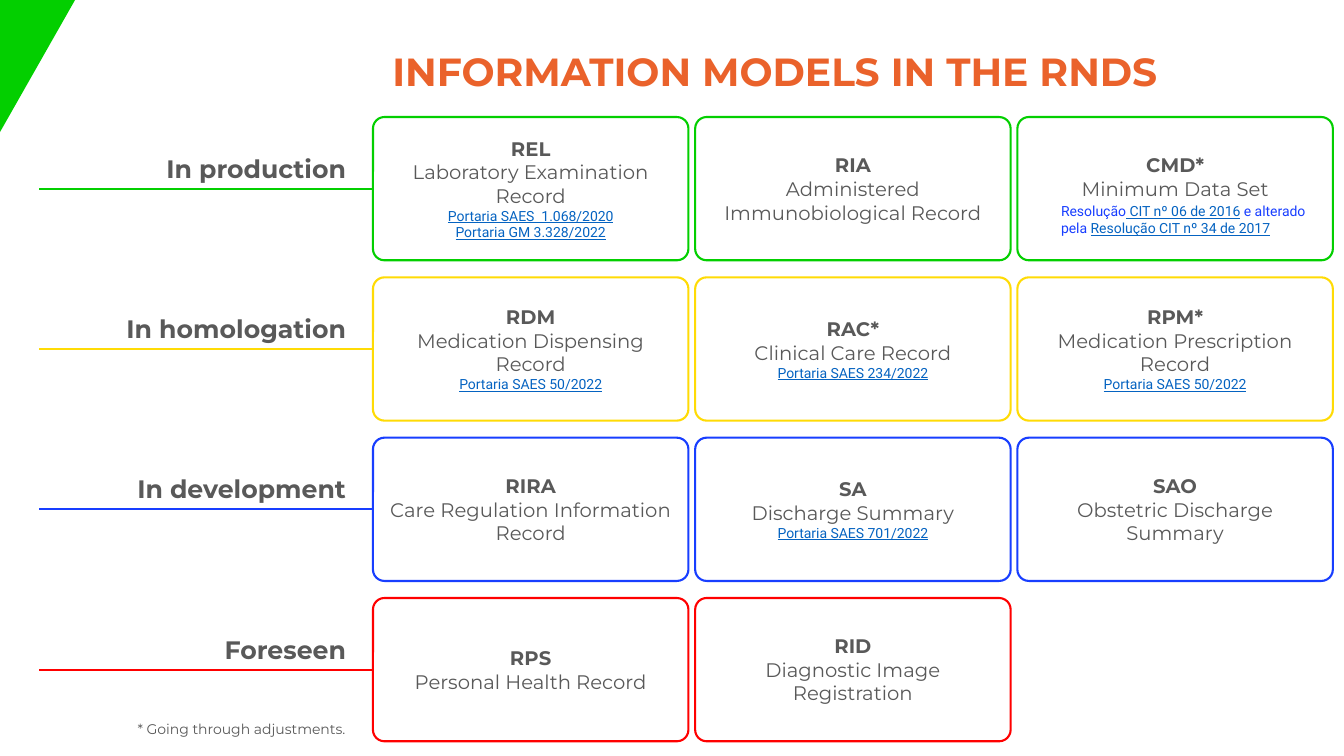
from pptx import Presentation, util as u
from pptx.dml import color
from pptx.enum import shapes, text
from pptx.oxml import ns
from lxml import etree

THEME = {
    "colours": {"green": "03CF00", "yellow": "FFDB05", "blue": "183EFF", "red": "FF0000",
                "orange": "EA622B", "grey": "595959", "link": "0563C1"},
    "line": u.Pt(1.5),
    "text": {
        "title": ("orange", {"name": "Montserrat", "size": u.Pt(28), "bold": True}),
        "status": ("grey", {"name": "Montserrat", "size": u.Pt(18), "bold": True}),
        "code": ("grey", {"name": "Montserrat", "size": u.Pt(14), "bold": True}),
        "model": ("grey", {"name": "Montserrat", "size": u.Pt(14), "bold": False}),
        "note": ("grey", {"name": "Montserrat", "size": u.Pt(10)}),
        "link": ("link", {"name": "Roboto", "size": u.Pt(10), "underline": True}),
        "plain": ("blue", {"name": "Roboto", "size": u.Pt(10)}),
    },
}
RIGHT, CENTER, LEFT = text.PP_ALIGN.RIGHT, text.PP_ALIGN.CENTER, text.PP_ALIGN.LEFT
MIDDLE, TOP = text.MSO_ANCHOR.MIDDLE, text.MSO_ANCHOR.TOP


def rgb(name):
    return color.RGBColor.from_string(THEME["colours"][name])


def write(shape, paragraphs, alignment, anchor=TOP):
    """Fill a shape with paragraphs, each a list of (style, wording) runs."""
    frame = shape.text_frame
    frame.word_wrap = True
    frame.vertical_anchor = anchor
    for index, runs in enumerate(paragraphs):
        paragraph = frame.add_paragraph() if index else frame.paragraphs[0]
        paragraph.alignment = alignment
        for style, wording in runs:
            run = paragraph.add_run()
            run.text = wording
            colour, formats = THEME["text"][style]
            for attribute, value in formats.items():
                setattr(run.font, attribute, value)
            run.font.color.rgb = rgb(colour)


presentation = Presentation()
presentation.slide_width, presentation.slide_height = u.Cm(33.87), u.Cm(19.05)
slide = presentation.slides.add_slide(presentation.slide_layouts[6])

# Corner triangle, right angle at the top left
corner = slide.shapes.add_shape(shapes.MSO_SHAPE.RIGHT_TRIANGLE,
                                u.Cm(-0.13), u.Cm(-0.91), u.Cm(2.54), u.Cm(4.47))
corner.shadow.inherit = False
corner.fill.solid()
corner.fill.fore_color.rgb = rgb("green")
corner.line.fill.background()
corner._element.spPr.get_or_add_xfrm().set("flipV", "1")

# Title, footnote and status labels all end at a right edge
ROW_TOP, ROW_STEP = 2.95, 4.04
COLUMN_LEFT, COLUMN_STEP = 9.4, 8.12
BOX_WIDTH, BOX_HEIGHT = 7.95, 3.61

stages = [
    ("In production", "green", [
        ("REL", "Laboratory Examination Record",
         ["Portaria SAES  1.068/2020", "Portaria GM 3.328/2022"]),
        ("RIA", "Administered Immunobiological Record", []),
        ("CMD*", "Minimum Data Set", [])]),
    ("In homologation", "yellow", [
        ("RDM", "Medication Dispensing Record", ["Portaria SAES 50/2022"]),
        ("RAC*", "Clinical Care Record", ["Portaria SAES 234/2022"]),
        ("RPM*", "Medication Prescription Record", ["Portaria SAES 50/2022"])]),
    ("In development", "blue", [
        ("RIRA", "Care Regulation Information Record", []),
        ("SA", "Discharge Summary", ["Portaria SAES 701/2022"]),
        ("SAO", "Obstetric Discharge Summary", [])]),
    ("Foreseen", "red", [
        ("RPS", "Personal Health Record", []),
        ("RID", "Diagnostic Image Registration", [])]),
]

labels = [("title", "INFORMATION MODELS IN THE RNDS", 1.88, 1.07, 27.53, 2.24),
          ("note", "* Going through adjustments.", 2.42, 18.03, 6.53, 0.69)]
labels += [("status", stage[0], 0.67, ROW_TOP + row * ROW_STEP + 0.78, 8.3, 1.02)
           for row, stage in enumerate(stages)]
for style, wording, *place in labels:
    label = slide.shapes.add_textbox(*map(u.Cm, place))
    write(label, [[(style, wording)]], RIGHT)

# One row per stage: a line from the label, then the model boxes
for row, (status, colour, models) in enumerate(stages):
    top = ROW_TOP + row * ROW_STEP
    middle = u.Cm(top + BOX_HEIGHT / 2)
    rule = slide.shapes.add_connector(shapes.MSO_CONNECTOR.STRAIGHT,
                                      u.Cm(COLUMN_LEFT), middle, u.Cm(0.99), middle)
    etree.SubElement(rule._element.spPr, ns.qn("a:effectLst"))
    outlines = [rule.line]
    for column, (code, model, links) in enumerate(models):
        box = slide.shapes.add_shape(shapes.MSO_SHAPE.ROUNDED_RECTANGLE,
                                     u.Cm(COLUMN_LEFT + column * COLUMN_STEP), u.Cm(top),
                                     u.Cm(BOX_WIDTH), u.Cm(BOX_HEIGHT))
        box.adjustments[0] = 0.08
        box.shadow.inherit = False
        box.fill.background()
        outlines.append(box.line)
        if code == "CMD*":  # room for the resolutions below
            box.text_frame.margin_bottom = u.Cm(0.73)
        write(box, [[("code", code)], [("model", model)]] + [[("link", link)] for link in links],
              CENTER, MIDDLE)
    for outline in outlines:
        outline.color.rgb = rgb(colour)
        outline.width = THEME["line"]

# Resolutions under the minimum data set
resolutions = slide.shapes.add_textbox(u.Cm(26.49), u.Cm(4.98), u.Cm(7.11), u.Cm(1.12))
write(resolutions, [[("plain", "Resolução"), ("link", " CIT nº 06 de 2016"),
                     ("plain", " e alterado pela "), ("link", "Resolução CIT nº 34 de 2017")]],
      LEFT, MIDDLE)

presentation.save("out.pptx")
